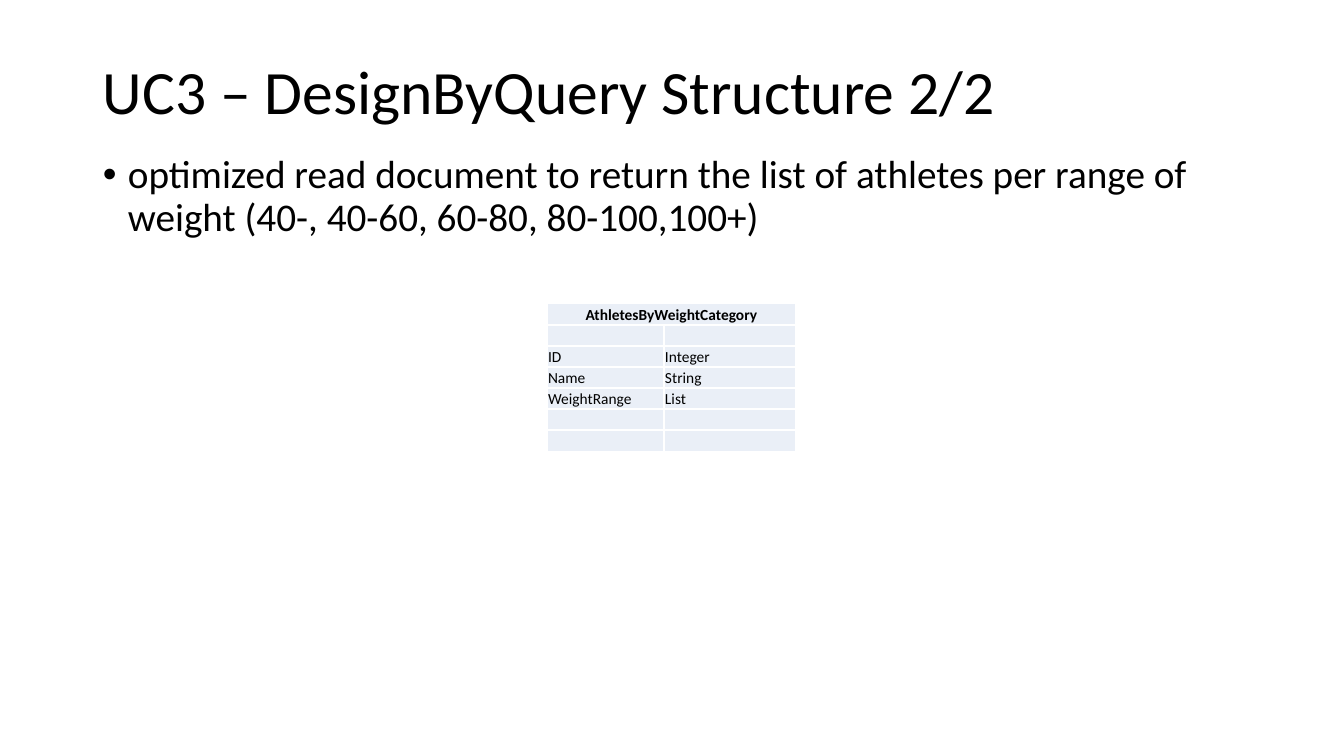
from lxml import etree
from pptx import Presentation
from pptx.dml.color import RGBColor
from pptx.enum.text import MSO_ANCHOR, PP_ALIGN
from pptx.oxml.ns import qn
from pptx.util import Pt

TITLE = "UC3 – DesignByQuery Structure 2/2"
BULLET = ("optimized read document to return the list of athletes per range of "
          "weight (40-, 40-60, 60-80, 80-100,100+)")
TABLE_NAME = "AthletesByWeightCategory"
FIELDS = [("", ""), ("ID", "Integer"), ("Name", "String"),
          ("WeightRange", "List"), ("", ""), ("", "")]

FONT = "Calibri"
BLACK, WHITE, PALE_BLUE = "000000", "FFFFFF", "EAEFF7"
MARGIN, TEXT_WIDTH = 93, 1159
TITLE_TOP, TITLE_HEIGHT = 40, 110
BODY_TOP, BODY_HEIGHT = 150, 531
BULLET_INDENT = 25
TABLE_LEFT, TABLE_TOP = 547, 303
COLUMN_WIDTHS = [117, 132]
ROW_HEIGHTS = [22] + [21] * 5 + [22]
CELL_SIZE = 11


def px(pixels):
    return round(pixels * 914400 / 100.8)


def color(hex_value):
    return RGBColor.from_string(hex_value)


def write(paragraph, text, size, bold=False):
    run = paragraph.add_run()
    run.text = text
    font = run.font
    font.name, font.size, font.bold = FONT, Pt(size), bold
    font.color.rgb = color(BLACK)


def add_text(slide, text, top, height, size, anchor):
    box = slide.shapes.add_textbox(px(MARGIN), px(top), px(TEXT_WIDTH), px(height))
    frame = box.text_frame
    frame.word_wrap = True
    frame.vertical_anchor = anchor
    paragraph = frame.paragraphs[0]
    paragraph.line_spacing = 0.9
    write(paragraph, text, size)
    return paragraph


def add_bullet(paragraph):
    paragraph.space_before = Pt(10)
    props = paragraph._p.get_or_add_pPr()
    props.set("marL", str(px(BULLET_INDENT)))
    props.set("indent", str(-px(BULLET_INDENT)))
    etree.SubElement(props, qn("a:buFont"), typeface="Arial")
    etree.SubElement(props, qn("a:buChar"), char="•")


def add_borders(cell):
    props = cell._tc.get_or_add_tcPr()
    for index, side in enumerate(("lnL", "lnR", "lnT", "lnB")):
        line = etree.Element(qn("a:" + side), w=str(Pt(1)))
        fill = etree.SubElement(line, qn("a:solidFill"))
        etree.SubElement(fill, qn("a:srgbClr"), val=WHITE)
        props.insert(index, line)


def fill_cell(cell, text, header):
    cell.fill.solid()
    cell.fill.fore_color.rgb = color(PALE_BLUE)
    add_borders(cell)
    cell.margin_left = cell.margin_right = cell.margin_top = px(1)
    cell.margin_bottom = 0
    cell.vertical_anchor = MSO_ANCHOR.BOTTOM
    paragraph = cell.text_frame.paragraphs[0]
    if header:
        paragraph.alignment = PP_ALIGN.CENTER
    if text:
        write(paragraph, text, CELL_SIZE, header)
    else:
        etree.SubElement(paragraph._p, qn("a:endParaRPr"), sz=str(CELL_SIZE * 100))


def add_field_table(slide):
    rows = [(TABLE_NAME, "")] + FIELDS
    table = slide.shapes.add_table(
        len(rows), len(COLUMN_WIDTHS), px(TABLE_LEFT), px(TABLE_TOP),
        px(sum(COLUMN_WIDTHS)), px(sum(ROW_HEIGHTS))).table
    for column, width in zip(table.columns, COLUMN_WIDTHS):
        column.width = px(width)
    for r, (row, height) in enumerate(zip(rows, ROW_HEIGHTS)):
        table.rows[r].height = px(height)
        for c, text in enumerate(row):
            fill_cell(table.cell(r, c), text, header=r == 0)
    table.cell(0, 0).merge(table.cell(0, 1))


prs = Presentation()
prs.slide_width, prs.slide_height = px(1344), px(756)
slide = prs.slides.add_slide(prs.slide_layouts[6])
add_text(slide, TITLE, TITLE_TOP, TITLE_HEIGHT, 44, MSO_ANCHOR.MIDDLE)
add_bullet(add_text(slide, BULLET, BODY_TOP, BODY_HEIGHT, 28, MSO_ANCHOR.TOP))
add_field_table(slide)
prs.save("out.pptx")
